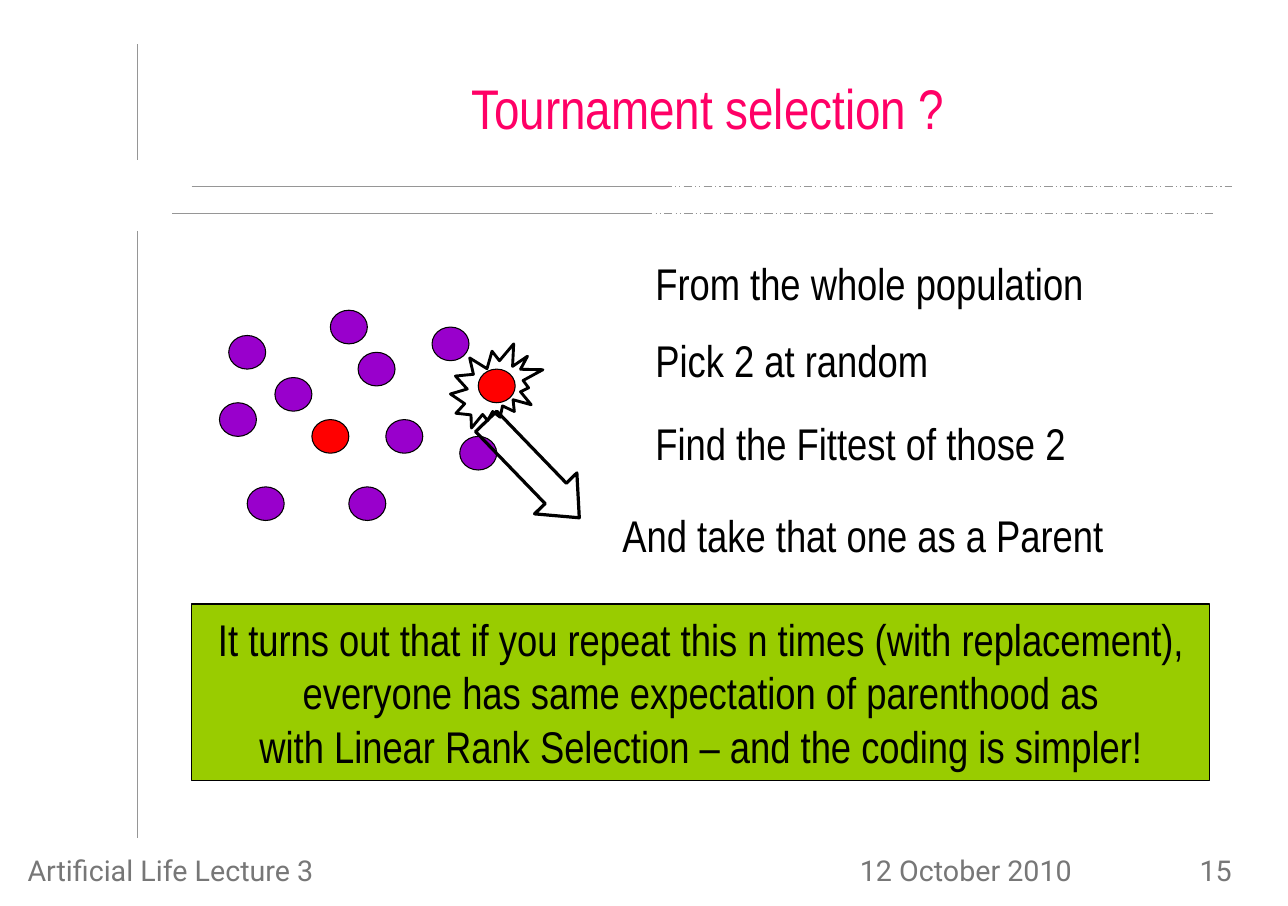
from lxml import etree
from pptx import Presentation
from pptx import util as u
from pptx.dml.color import RGBColor
from pptx.enum import dml, shapes, text

COLORS = {"rule": "969696", "footer": "777777", "title": "FF0066", "ink": "000000",
          "individual": "9900CC", "picked": "FF0000", "panel": "99CC00"}
WIDTH, HEIGHT = 12.5, 8.79
BODY_FONT, FOOTER_FONT = "Arial Narrow", "Roboto"
LEFT, CENTER, RIGHT = text.PP_ALIGN.LEFT, text.PP_ALIGN.CENTER, text.PP_ALIGN.RIGHT
TOP, MIDDLE = text.MSO_ANCHOR.TOP, text.MSO_ANCHOR.MIDDLE


def rgb(name):
    """Return the named colour."""
    return RGBColor.from_string(COLORS[name])


def inches(box):
    """Turn a box of numbers into slide lengths."""
    return [u.Inches(v) for v in box]


def cell(box, grid, col, row, cols, rows):
    """Return the box that covers some cells of a grid laid over a box."""
    x, y, w, h = box
    cw, rh = w / grid[0], h / grid[1]
    return x + col * cw, y + row * rh, cols * cw, rows * rh


def write(sp, lines, size, font, color, align=LEFT, anchor=TOP, margins=(0.11, 0.05), wrap=True):
    """Fill a shape with evenly formatted lines."""
    tf = sp.text_frame
    tf.word_wrap, tf.vertical_anchor = wrap, anchor
    tf.margin_left = tf.margin_right = u.Inches(margins[0])
    tf.margin_top = tf.margin_bottom = u.Inches(margins[1])
    tf.text = "\n".join(lines)
    for p in tf.paragraphs:
        p.alignment = align
        for r in p.runs:
            r.font.size, r.font.name = u.Pt(size), font
            r.font.color.rgb = rgb(color)


def add_outlined(s, kind, box, fill=None, width=0.75):
    """Add a black-edged shape, hollow unless a fill is named."""
    sp = s.shapes.add_shape(kind, *inches(box))
    sp.shadow.inherit = False
    if fill:
        sp.fill.solid()
        sp.fill.fore_color.rgb = rgb(fill)
    else:
        sp.fill.background()
    sp.line.color.rgb = rgb("ink")
    sp.line.width = u.Pt(width)
    return sp


def add_rule(s, x1, y1, x2, y2, dash=None):
    """Add one thin grey rule."""
    line = s.shapes.add_connector(shapes.MSO_CONNECTOR.STRAIGHT, *inches((x1, y1, x2, y2)))
    line.line.color.rgb = rgb("rule")
    line.line.width = u.Pt(0.75)
    if dash:
        line.line.dash_style = dash
    etree.SubElement(line._element.spPr, "{http://schemas.openxmlformats.org/drawingml/2006/main}effectLst")


def frame(s, box):
    """Draw the margin rule and the two half-dashed header rules."""
    x, y, w, h = box
    add_rule(s, x, y + 1.81, x, y + h)
    add_rule(s, x, y + 1.12, x, y)
    for left, top in ((x + 0.53, y + 1.38), (x + 0.34, y + 1.64)):
        middle, right = left + 4.58, left + 10.1
        add_rule(s, left, top, middle, top)
        add_rule(s, middle, top, right, top, dml.MSO_LINE.DASH_DOT_DOT)


def footer(s, box):
    """Place the lecture name, date and page number along a strip."""
    x, y, w, h = box
    for label, left, width, align in (("Artificial Life Lecture 3", 0, 0.265, CENTER),
                                      ("12 October 2010", 0.658, 0.208, LEFT),
                                      ("15", 0.883, 0.083, RIGHT)):
        sp = s.shapes.add_textbox(*inches((x + left * w, y, width * w, h)))
        write(sp, [label], 20, FOOTER_FONT, "footer", align, margins=(0.12, 0.06))


def title(s, box):
    """Place the slide title."""
    sp = s.shapes.add_textbox(*inches(box))
    write(sp, ["Tournament selection ?"], 39, BODY_FONT, "title", CENTER, MIDDLE, (0.12, 0.06))


def population(s, box):
    """Scatter the individuals, mark the two picked and point from the winner."""
    grid = (32, 25)
    others = ((1, 3), (0, 11), (15, 5), (3, 21), (18, 13), (26, 15),
              (14, 21), (6, 8), (12, 0), (23, 2))
    picked = ((28, 7), (10, 13))
    kinds = shapes.MSO_SHAPE
    for spots, fill in ((others, "individual"), (picked, "picked")):
        for col, row in spots:
            add_outlined(s, kinds.OVAL, cell(box, grid, col, row, 4, 4), fill)
    add_outlined(s, kinds.EXPLOSION2, cell(box, grid, 25, 4, 10, 10), width=2)
    arrow = add_outlined(s, kinds.RIGHT_ARROW, cell(box, grid, 26.65, 15.45, 14.5, 7), width=2.25)
    arrow.rotation = 46
    arrow.adjustments[1] = 0.576


def steps(s, box):
    """List the steps of the tournament down a column."""
    x, y, w, h = box
    for label, indent, top in (("From the whole population", 0.32, 0),
                               ("Pick 2 at random", 0.32, 0.74),
                               ("Find the Fittest of those 2", 0.32, 1.55),
                               ("And take that one as a Parent", 0, 2.44)):
        sp = s.shapes.add_textbox(*inches((x + indent, y + top, w - indent, 0.63)))
        write(sp, [label], 31, BODY_FONT, "ink")


def conclusion(s, box):
    """Place the green panel with the closing remark."""
    sp = add_outlined(s, shapes.MSO_SHAPE.RECTANGLE, box, "panel")
    write(sp, ["It turns out that if you repeat this n times (with replacement),",
               "everyone has same expectation of parenthood as",
               "with Linear Rank Selection – and the coding is simpler!"],
          31, BODY_FONT, "ink", CENTER, MIDDLE, wrap=False)


def main():
    """Build and save the slide."""
    prs = Presentation()
    prs.slide_width, prs.slide_height = inches((WIDTH, HEIGHT))
    s = prs.slides.add_slide(prs.slide_layouts[6])
    frame(s, (1.33, 0.43, 10.63, 7.7))
    footer(s, (0, 8.21, WIDTH, 0.58))
    title(s, (1.99, 0.6, 9.76, 0.88))
    population(s, (2.13, 3.01, 2.87, 2.04))
    steps(s, (5.93, 2.44, 5.81, 3.07))
    conclusion(s, (1.86, 5.86, 9.88, 1.71))
    prs.save("out.pptx")


if __name__ == "__main__":
    main()
